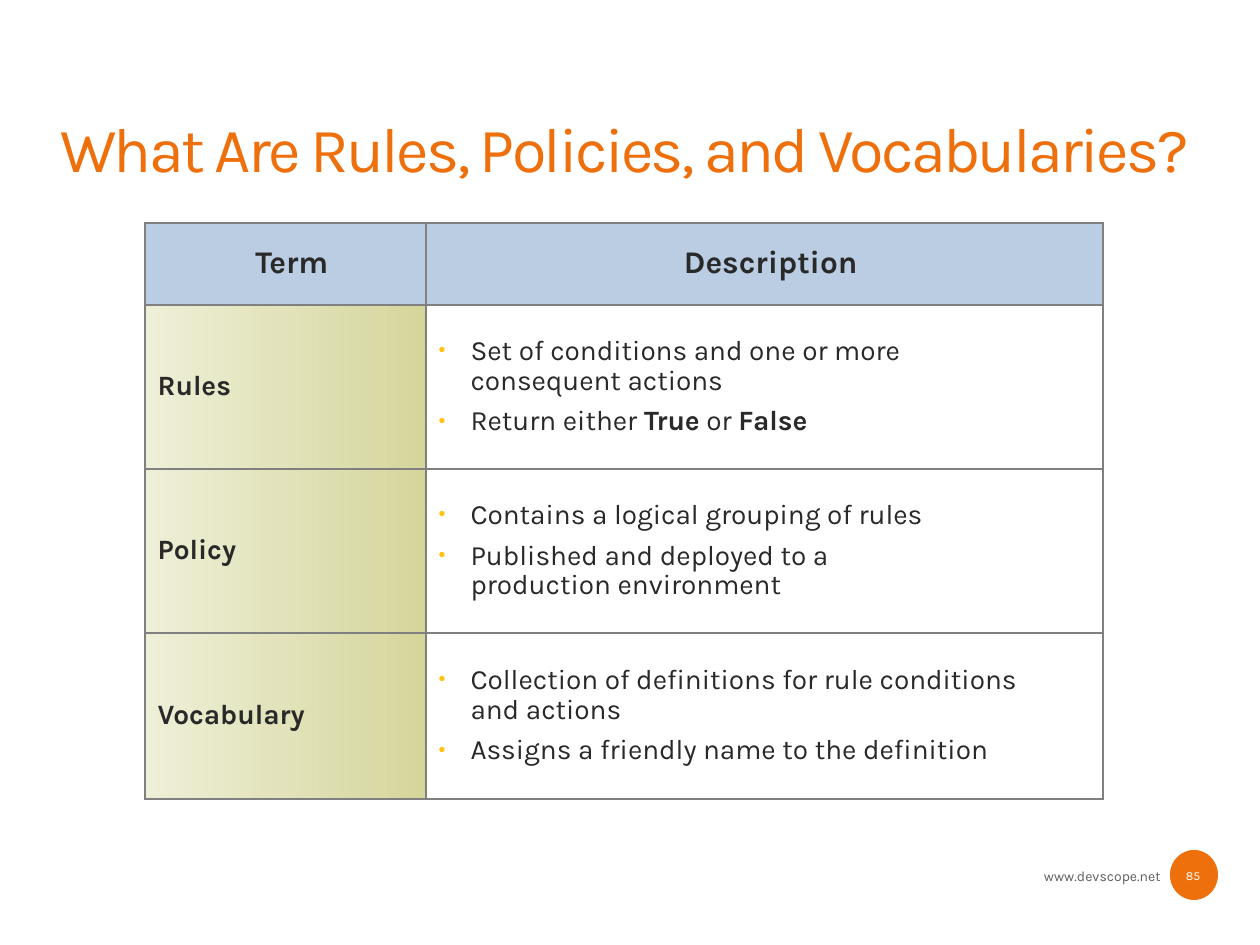
from lxml import etree
from pptx import Presentation
from pptx.dml import color
from pptx.enum import shapes, text
from pptx.oxml import ns
from pptx.util import Pt

EMU_PER_PX = 914400 / 126
ORANGE, INK, GREY, WHITE = "EE700C", "292929", "5E5E5E", "FFFFFF"
HEADER_BLUE, BULLET_YELLOW, BORDER = "BBCDE3", "FFC211", "808080"
TERM_GRADIENT = ("EEEFD7", "D5D69C")
CENTER, LEFT = text.PP_ALIGN.CENTER, text.PP_ALIGN.LEFT
MIDDLE, BOTTOM = text.MSO_ANCHOR.MIDDLE, text.MSO_ANCHOR.BOTTOM


def px(length):
    return round(length * EMU_PER_PX)


def rgb(code):
    return color.RGBColor.from_string(code)


def add_xml(parent, tag, **attributes):
    return etree.SubElement(parent, ns.qn(tag), attributes)


class SlideBuilder:
    font = "Karla"

    def __init__(self, page):
        self.page = page

    def style(self, span, size, ink, bold=False):
        span.font.name = self.font
        span.font.size = Pt(size)
        span.font.bold = bold
        span.font.color.rgb = rgb(ink)

    def circle(self, left, top, width, height, fill):
        shape = self.page.shapes.add_shape(
            shapes.MSO_SHAPE.OVAL, px(left), px(top), px(width), px(height))
        shape.shadow.inherit = False
        shape.fill.solid()
        shape.fill.fore_color.rgb = rgb(fill)
        shape.line.fill.background()

    def label(self, left, top, width, height, words, size, ink,
              align=CENTER, anchor=MIDDLE, inset=True):
        box = self.page.shapes.add_textbox(px(left), px(top), px(width), px(height))
        frame = box.text_frame
        frame.word_wrap = True
        frame.vertical_anchor = anchor
        if not inset:
            frame.margin_left = frame.margin_right = 0
            frame.margin_top = frame.margin_bottom = 0
        frame.text = words
        para = frame.paragraphs[0]
        para.alignment = align
        self.style(para.runs[0], size, ink)
        return para

    def bullet(self, para):
        props = para._p.get_or_add_pPr()
        props.set("marL", str(px(32)))
        props.set("indent", str(px(-32)))
        add_xml(add_xml(props, "a:buClr"), "a:srgbClr", val=BULLET_YELLOW)
        add_xml(props, "a:buSzPct", val="70000")
        add_xml(props, "a:buFont", typeface="Arial")
        add_xml(props, "a:buChar", char="•")

    def borders(self, cell):
        props = cell._tc.get_or_add_tcPr()
        for index, side in enumerate(("a:lnL", "a:lnR", "a:lnT", "a:lnB")):
            line = add_xml(props, side, w=str(Pt(1.5)))
            add_xml(add_xml(line, "a:solidFill"), "a:srgbClr", val=BORDER)
            props.insert(index, line)

    def cell(self, cell, lines, size, fill, bold=False, align=LEFT, bullets=False):
        """Each line is a list of strings; every second one is emphasised."""
        cell.vertical_anchor = MIDDLE
        cell.margin_right = 0
        frame = cell.text_frame
        for index, parts in enumerate(lines):
            para = frame.add_paragraph() if index else frame.paragraphs[0]
            para.text = parts[0]
            para.alignment = align
            para.line_spacing = 0.9
            if index:
                para.space_before = Pt(6.5)
            if bullets:
                self.bullet(para)
            for span in para.runs:
                self.style(span, size, INK, bold)
            for line_break in para._p.findall(ns.qn("a:br")):
                add_xml(line_break, "a:rPr", sz=str(size * 100))
            for number, part in enumerate(parts[1:], 1):
                span = para.add_run()
                span.text = part
                self.style(span, size, INK, number % 2 == 1)
        if isinstance(fill, tuple):
            cell.fill.gradient()
            cell.fill.gradient_angle = 0
            for position, (stop, code) in enumerate(zip(cell.fill.gradient_stops, fill)):
                stop.color.rgb = rgb(code)
                stop.position = position
        else:
            cell.fill.solid()
            cell.fill.fore_color.rgb = rgb(fill)
        self.borders(cell)

    def terms_table(self, left, top, widths, heights, header, terms):
        table = self.page.shapes.add_table(
            len(heights), len(widths), px(left), px(top),
            px(sum(widths)), px(sum(heights))).table
        table.first_row = table.horz_banding = False
        for column, width in zip(table.columns, widths):
            column.width = px(width)
        for row, height in zip(table.rows, heights):
            row.height = px(height)
        for column, heading in enumerate(header):
            self.cell(table.cell(0, column), [[heading]], 18, HEADER_BLUE,
                      bold=True, align=CENTER)
        for row, (term, lines) in enumerate(terms, 1):
            self.cell(table.cell(row, 0), [[term]], 16, TERM_GRADIENT, bold=True)
            self.cell(table.cell(row, 1), lines, 16, WHITE, bullets=True)


TERMS = [
    ("Rules", [["Set of conditions and one or more\vconsequent actions"],
               ["Return either ", "True", " or ", "False"]]),
    ("Policy", [["Contains a logical grouping of rules"],
                ["Published and deployed to a\vproduction environment"]]),
    ("Vocabulary", [["Collection of definitions for rule conditions\vand actions"],
                    ["Assigns a friendly name to the definition"]]),
]


def main():
    deck = Presentation()
    deck.slide_width, deck.slide_height = px(1260), px(945)
    builder = SlideBuilder(deck.slides.add_slide(deck.slide_layouts[6]))

    # Footer with the page number
    builder.circle(1170, 850, 48, 50, ORANGE)
    builder.label(903, 862, 399, 28, "www.devscope.net", 8, GREY)
    builder.label(1040, 859, 306, 33, "85", 7, WHITE)

    # Title, slightly tightened
    title = builder.label(60, 26, 1153, 160, "What Are Rules, Policies, and Vocabularies?",
                          36, ORANGE, LEFT, BOTTOM, inset=False)
    title.line_spacing = 0.9
    title.runs[0].font._element.set("spc", "-150")

    # Table of terms
    builder.terms_table(145, 223, (281, 677), (82, 164, 164, 166),
                        ("Term", "Description"), TERMS)

    deck.save("out.pptx")


if __name__ == "__main__":
    main()
